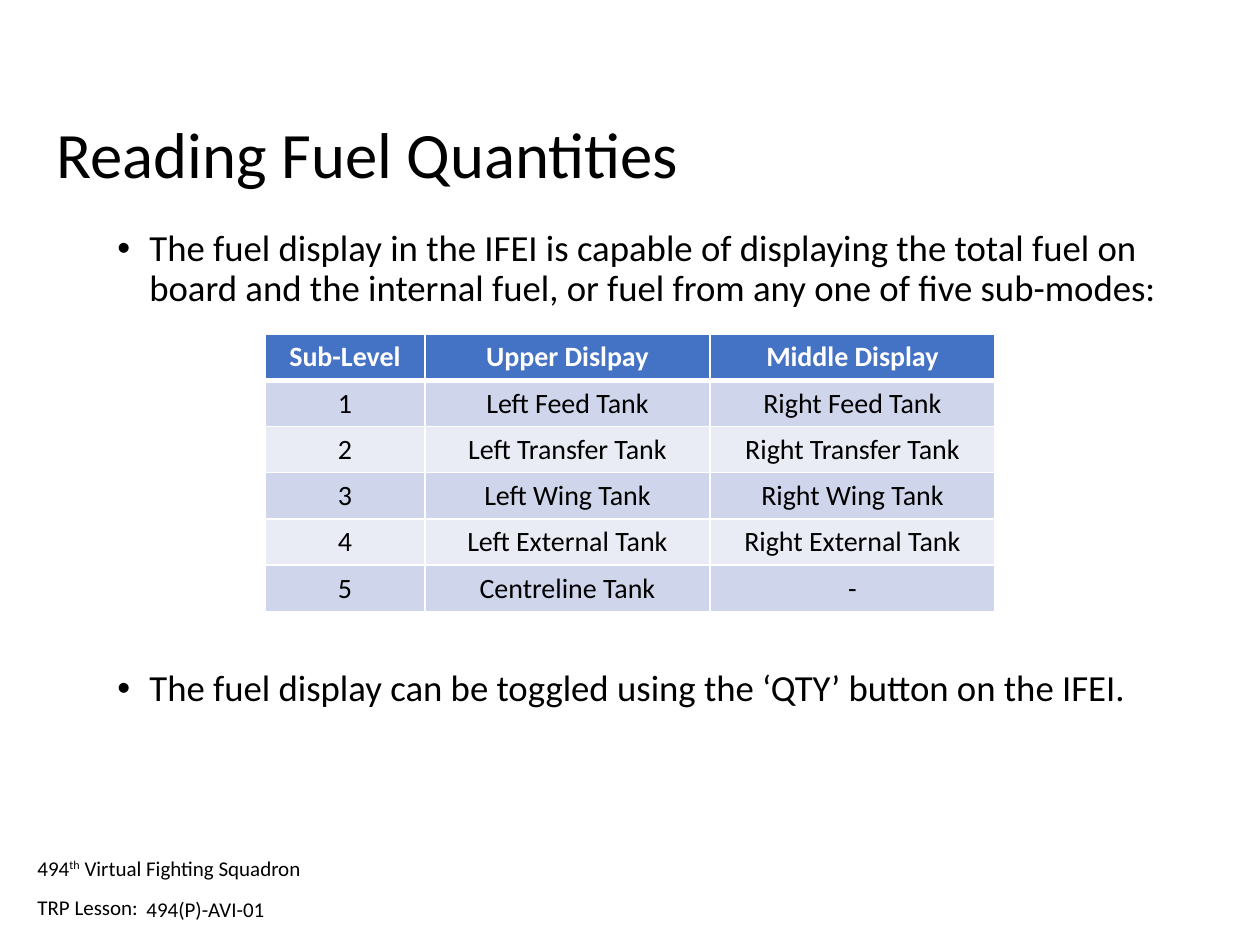
"""Build the slide on reading fuel quantities."""
from pptx import Presentation
from pptx.dml.color import RGBColor as RGB
from pptx.enum.text import PP_ALIGN as Align
from pptx.oxml import parse_xml
from pptx.oxml.ns import nsdecls
from pptx.util import Pt

UNIT = 914400 / 126
BLACK = RGB(0, 0, 0)
WHITE = RGB(255, 255, 255)
BLUE = RGB(0x44, 0x72, 0xC4)
DARK = RGB(0xCF, 0xD5, 0xEA)
LIGHT = RGB(0xE9, 0xEB, 0xF5)


def scale(*nums):
    return [round(n * UNIT) for n in nums]


def write(para, text, size, color=BLACK, bold=False):
    run = para.add_run()
    run.text = text
    run.font.name = "Calibri"
    run.font.size = Pt(size)
    run.font.bold = bold
    run.font.color.rgb = color
    return run


deck = Presentation()
deck.slide_width, deck.slide_height = scale(1260, 945)
slide = deck.slides.add_slide(deck.slide_layouts[6])
shapes = slide.shapes

labels = [
    ((25, 849, 307, 38), 12, ["494", "th", " Virtual Fighting Squadron"]),
    ((25, 888, 307, 38), 12, ["TRP Lesson:"]),
    ((134, 890, 198, 38), 12, ["494(P)-AVI-01"]),
    ((44, 116, 1086, 110), 37, ["Reading Fuel Quantities"]),
]
for place, size, parts in labels:
    frame = shapes.add_textbox(*scale(*place)).text_frame
    frame.word_wrap = True
    para = frame.paragraphs[0]
    if size > 12:
        para.line_spacing = 0.9
    for part in parts:
        run = write(para, part, size)
        if part == "th":
            run.font._element.set("baseline", "30000")

body = shapes.add_textbox(*scale(105, 224, 1086, 625)).text_frame
body.word_wrap = True
points = [
    (0, "The fuel display in the IFEI is capable of displaying the total fuel on "
        "board and the internal fuel, or fuel from any one of five sub-modes:"),
    (206, "The fuel display can be toggled using the ‘QTY’ button on the IFEI."),
]
indent = scale(32)[0]
for i, (gap, text) in enumerate(points):
    para = body.add_paragraph() if i else body.paragraphs[0]
    para.line_spacing = 0.9
    para.space_before = Pt(gap)
    props = para._p.get_or_add_pPr()
    props.set("marL", str(indent))
    props.set("indent", str(-indent))
    props.append(parse_xml(f'<a:buFont {nsdecls("a")} typeface="Arial"/>'))
    props.append(parse_xml(f'<a:buChar {nsdecls("a")} char="•"/>'))
    write(para, text, 21)

rows = [
    ("Sub-Level", "Upper Dislpay", "Middle Display"),
    ("1", "Left Feed Tank", "Right Feed Tank"),
    ("2", "Left Transfer Tank", "Right Transfer Tank"),
    ("3", "Left Wing Tank", "Right Wing Tank"),
    ("4", "Left External Tank", "Right External Tank"),
    ("5", "Centreline Tank", "-"),
]
table = shapes.add_table(6, 3, *scale(265, 334, 730, 276)).table
for col, width in zip(table.columns, scale(160, 285, 285)):
    col.width = width
for r, row in enumerate(rows):
    table.rows[r].height = scale(46)[0]
    head = r == 0
    for c, text in enumerate(row):
        cell = table.cell(r, c)
        para = cell.text_frame.paragraphs[0]
        para.alignment = Align.CENTER
        write(para, text, 16, WHITE if head else BLACK, head)
        props = cell._tc.get_or_add_tcPr()
        for side in ("L", "R", "T", "B"):
            thick = (head and side == "B") or (r == 1 and side == "T")
            props.append(parse_xml(
                f'<a:ln{side} {nsdecls("a")} w="{Pt(3 if thick else 1)}"><a:solidFill>'
                f'<a:srgbClr val="{WHITE}"/></a:solidFill></a:ln{side}>'))
        cell.fill.solid()
        cell.fill.fore_color.rgb = BLUE if head else DARK if r % 2 else LIGHT

deck.save("out.pptx")
